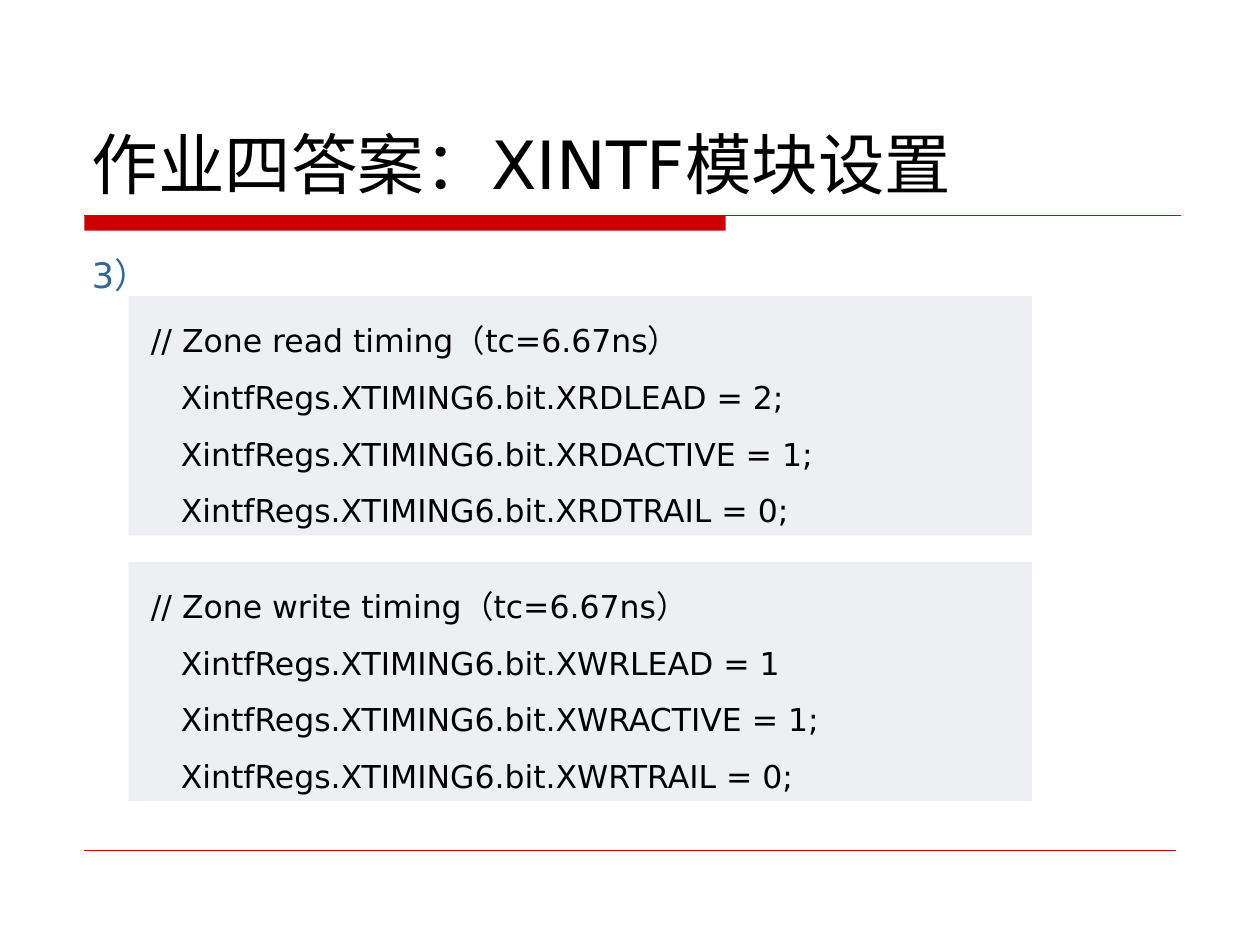
from dataclasses import dataclass

from lxml.etree import SubElement
from pptx import Presentation
from pptx.dml.color import RGBColor
from pptx.enum.shapes import MSO_CONNECTOR as Connector, MSO_SHAPE as Shape
from pptx.enum.text import MSO_ANCHOR as Anchor, PP_ALIGN as Align
from pptx.oxml.ns import qn
from pptx.slide import Slide
from pptx.text.text import TextFrame
from pptx.util import Pt

FONT = "DejaVu Sans"
BLACK = RGBColor(0x00, 0x00, 0x00)
RED = RGBColor(0xCC, 0x00, 0x00)
BLUE = RGBColor(0x33, 0x66, 0x99)
PALE = RGBColor(0xED, 0xF0, 0xF3)

RULE_LEFT = 48.24
RULE_TOP = 123.12


@dataclass(frozen=True)
class Area:
    left: float
    top: float
    width: float
    height: float

    def lengths(self) -> tuple[Pt, Pt, Pt, Pt]:
        return Pt(self.left), Pt(self.top), Pt(self.width), Pt(self.height)


@dataclass(frozen=True)
class TextStyle:
    size: float
    color: RGBColor
    spacing: float = 1.0
    anchor: Anchor = Anchor.TOP


@dataclass(frozen=True)
class CodePanel:
    top: float
    lines: tuple[str, ...]


TITLE_STYLE = TextStyle(38, BLACK, anchor=Anchor.BOTTOM)
ITEM_STYLE = TextStyle(20, BLUE, spacing=1.3)
CODE_STYLE = TextStyle(18, BLACK, spacing=1.5)

CODE_PANELS = (
    CodePanel(169.2, (
        " // Zone read timing（tc=6.67ns）",
        "    XintfRegs.XTIMING6.bit.XRDLEAD = 2;",
        "    XintfRegs.XTIMING6.bit.XRDACTIVE = 1;",
        "    XintfRegs.XTIMING6.bit.XRDTRAIL = 0;",
    )),
    CodePanel(321.12, (
        " // Zone write timing（tc=6.67ns）",
        "    XintfRegs.XTIMING6.bit.XWRLEAD = 1",
        "    XintfRegs.XTIMING6.bit.XWRACTIVE = 1;",
        "    XintfRegs.XTIMING6.bit.XWRTRAIL = 0;",
    )),
)


def write_lines(frame: TextFrame, lines: tuple[str, ...], style: TextStyle) -> None:
    frame.word_wrap = True
    frame.vertical_anchor = style.anchor
    for index, line in enumerate(lines):
        para = frame.add_paragraph() if index else frame.paragraphs[0]
        para.text = line
        para.alignment = Align.LEFT
        para.line_spacing = style.spacing
        para.font.name = FONT
        para.font.size = Pt(style.size)
        para.font.color.rgb = style.color


def add_text(page: Slide, area: Area, text: str, style: TextStyle) -> None:
    box = page.shapes.add_textbox(*area.lengths())
    write_lines(box.text_frame, (text,), style)


def add_block(page: Slide, area: Area, fill: RGBColor) -> TextFrame:
    """Draw a borderless rectangle and return its text frame."""
    block = page.shapes.add_shape(Shape.RECTANGLE, *area.lengths())
    block.shadow.inherit = False
    block.fill.solid()
    block.fill.fore_color.rgb = fill
    block.line.fill.background()
    return block.text_frame


def add_rule(page: Slide, right: float, top: float, weight: float) -> None:
    """Draw a horizontal red line from the common left edge."""
    rule = page.shapes.add_connector(
        Connector.STRAIGHT, Pt(RULE_LEFT), Pt(top), Pt(right), Pt(top))
    rule.line.color.rgb = RED
    rule.line.width = Pt(weight)
    SubElement(rule._element.spPr, qn("a:effectLst"))


def main() -> None:
    deck = Presentation()
    deck.slide_width, deck.slide_height = Pt(720), Pt(540)
    page = deck.slides.add_slide(deck.slide_layouts[6])

    add_block(page, Area(RULE_LEFT, RULE_TOP, 366.48, 8.64), RED)
    add_rule(page, 674.64, RULE_TOP, 0.75)
    add_rule(page, 671.76, 486, 0.25)

    add_text(page, Area(45.36, 23.76, 630, 95.76), "作业四答案：XINTF模块设置", TITLE_STYLE)
    add_text(page, Area(45.36, 133.92, 572.4, 38.88), "3）", ITEM_STYLE)
    for panel in CODE_PANELS:
        frame = add_block(page, Area(73.44, panel.top, 516.24, 136.8), PALE)
        write_lines(frame, panel.lines, CODE_STYLE)

    deck.save("out.pptx")


if __name__ == "__main__":
    main()
